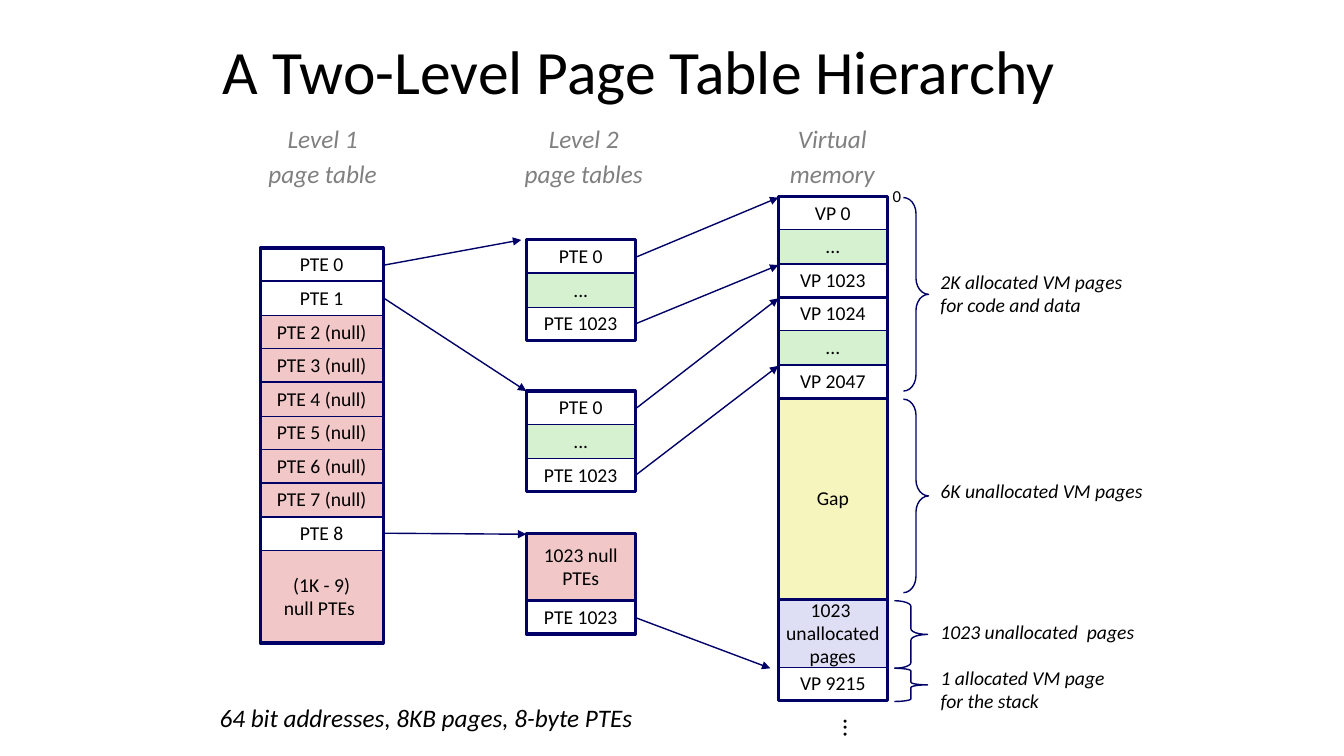
from lxml import etree
from pptx import Presentation
from pptx import util as u
from pptx.dml.color import RGBColor
from pptx.enum import shapes, text
from pptx.oxml import ns

PX = 9144  # 100 px to the inch
NAVY = RGBColor(0x00, 0x00, 0x66)
BLACK = RGBColor(0x00, 0x00, 0x00)
GRAY = RGBColor(0x80, 0x80, 0x80)
GREEN = RGBColor(0xD5, 0xF1, 0xCF)
PINK = RGBColor(0xF1, 0xC7, 0xC7)
YELLOW = RGBColor(0xF6, 0xF5, 0xBD)
LILAC = RGBColor(0xDE, 0xDF, 0xF5)
LEFT, CENTER = text.PP_ALIGN.LEFT, text.PP_ALIGN.CENTER
TOP, MIDDLE = text.MSO_ANCHOR.TOP, text.MSO_ANCHOR.MIDDLE


def write(shape, words, size, color=BLACK, italic=False, align=CENTER,
          anchor=MIDDLE, spacing=0.98, before=0, wrap=False):
    frame = shape.text_frame
    frame.text = words
    frame.word_wrap = wrap
    frame.vertical_anchor = anchor
    for para in frame.paragraphs:
        para.alignment = align
        para.line_spacing = spacing
        para.space_before = u.Pt(before)
        for span in para.runs:
            span.font.name = "Calibri"
            span.font.size = u.Pt(size)
            span.font.italic = italic
            span.font.color.rgb = color


def add_outline(kind, left, top, width, height, weight, fill=None):
    """Add a navy-edged preset shape, hollow unless a fill is given."""
    shape = page.shapes.add_shape(kind, left * PX, top * PX, width * PX, height * PX)
    shape.shadow.inherit = False
    shape.line.color.rgb = NAVY
    shape.line.width = u.Pt(weight)
    if fill is None:
        shape.fill.background()
    else:
        shape.fill.solid()
        shape.fill.fore_color.rgb = fill
    return shape


deck = Presentation()
deck.slide_width, deck.slide_height = 1333 * PX, 750 * PX
page = deck.slides.add_slide(deck.slide_layouts[5])

title = page.shapes.title
title.left, title.top, title.width, title.height = 211 * PX, 31 * PX, 906 * PX, 86 * PX
write(title, "A Two-Level Page Table Hierarchy", 44, align=LEFT, spacing=0.9, wrap=True)
title.text_frame.auto_size = text.MSO_AUTO_SIZE.NONE

# Each stack: left, top, width, rows (words, fill, row units), heavy frames (first unit, units).
# Three row units are 100 px high.
level_1 = [("PTE 0", None, 1), ("PTE 1", None, 1)]
level_1 += [(f"PTE {n} (null)", PINK, 1) for n in range(2, 8)]
level_1 += [("PTE 8", None, 1), ("(1K - 9)\nnull PTEs ", PINK, 2.75)]
level_2 = [("PTE 0", None, 1), ("...", GREEN, 1), ("PTE 1023", None, 1)]
level_2_last = [("1023 null\nPTEs", PINK, 2), ("PTE 1023", None, 1)]
memory = [
    ("VP 0", None, 1), ("...", GREEN, 1), ("VP 1023", None, 1),
    ("VP 1024", None, 1), ("...", GREEN, 1), ("VP 2047", None, 1),
    ("Gap", YELLOW, 6), ("1023 \nunallocated\npages", LILAC, 2), ("VP 9215", None, 1),
]
stacks = [
    (772, 195, 108, memory, [(0, 3), (3, 3), (6, 6), (12, 3)]),
    (522, 238, 108, level_2, [(0, 3)]),
    (522, 388, 108, level_2, [(0, 3)]),
    (522, 529, 108, level_2_last, [(0, 2), (0, 3)]),
    (258, 246, 122, level_1, [(0, 11.75)]),
]
for left, top, width, rows, frames in stacks:
    unit = 0
    for words, fill, units in rows:
        start, end = round(unit * 100 / 3), round((unit + units) * 100 / 3)
        box = add_outline(shapes.MSO_SHAPE.RECTANGLE, left, top + start, width,
                          end - start, 1, fill)
        write(box, words, 14)
        unit += units
    for first, units in frames:
        add_outline(shapes.MSO_SHAPE.RECTANGLE, left, top + round(first * 100 / 3),
                    width, round(units * 100 / 3), 2.25)

arrows = [
    (381, 263, 517, 238), (381, 296, 522, 388), (381, 529, 522, 530),
    (631, 255, 772, 196), (631, 321, 772, 263), (631, 405, 772, 296),
    (631, 471, 772, 363), (631, 613, 764, 663),
]
for ends in arrows:
    arrow = page.shapes.add_connector(shapes.MSO_CONNECTOR.STRAIGHT, *[n * PX for n in ends])
    arrow.line.color.rgb = NAVY
    arrow.line.width = u.Pt(1)
    etree.SubElement(arrow.line._get_or_add_ln(), ns.qn("a:tailEnd"), type="triangle")
    etree.SubElement(arrow._element.spPr, ns.qn("a:effectLst"))

braces = [
    (896, 196, 25, 192, 0.64), (896, 396, 25, 192, 0.64),
    (887, 596, 33, 67, 0.17), (887, 663, 33, 33, 0.08),
]
for left, top, width, height, curl in braces:
    brace = add_outline(shapes.MSO_SHAPE.RIGHT_BRACE, left, top, width, height, 1)
    brace.adjustments[0] = curl

heading = dict(size=18, color=GRAY, italic=True, anchor=TOP, spacing=0.88, before=6)
remark = dict(size=14, italic=True, align=LEFT)
labels = [
    (254, 121, 132, 72, "Level 1\npage table", heading),
    (508, 121, 142, 72, "Level 2\npage tables", heading),
    (772, 121, 107, 72, "Virtual\nmemory", heading),
    (875, 180, 29, 30, "0", dict(size=12)),
    (923, 263, 206, 57, "2K allocated VM pages\nfor code and data", remark),
    (923, 471, 227, 33, "6K unallocated VM pages", remark),
    (923, 611, 217, 33, "1023 unallocated  pages", remark),
    (923, 656, 188, 57, "1 allocated VM page\nfor the stack", remark),
    (208, 692, 444, 40, "64 bit addresses, 8KB pages, 8-byte PTEs",
     dict(size=18, italic=True, align=LEFT, anchor=TOP, spacing=1.0)),
    (815, 703, 48, 29, "...",
     dict(size=18, align=LEFT, anchor=TOP, spacing=0.88, before=9)),
]
for left, top, width, height, words, style in labels:
    label = page.shapes.add_textbox(left * PX, top * PX, width * PX, height * PX)
    write(label, words, **style)
# The last label, the dots under the memory column, runs downwards.
label.text_frame._txBody.bodyPr.set("vert", "eaVert")

deck.save("out.pptx")
